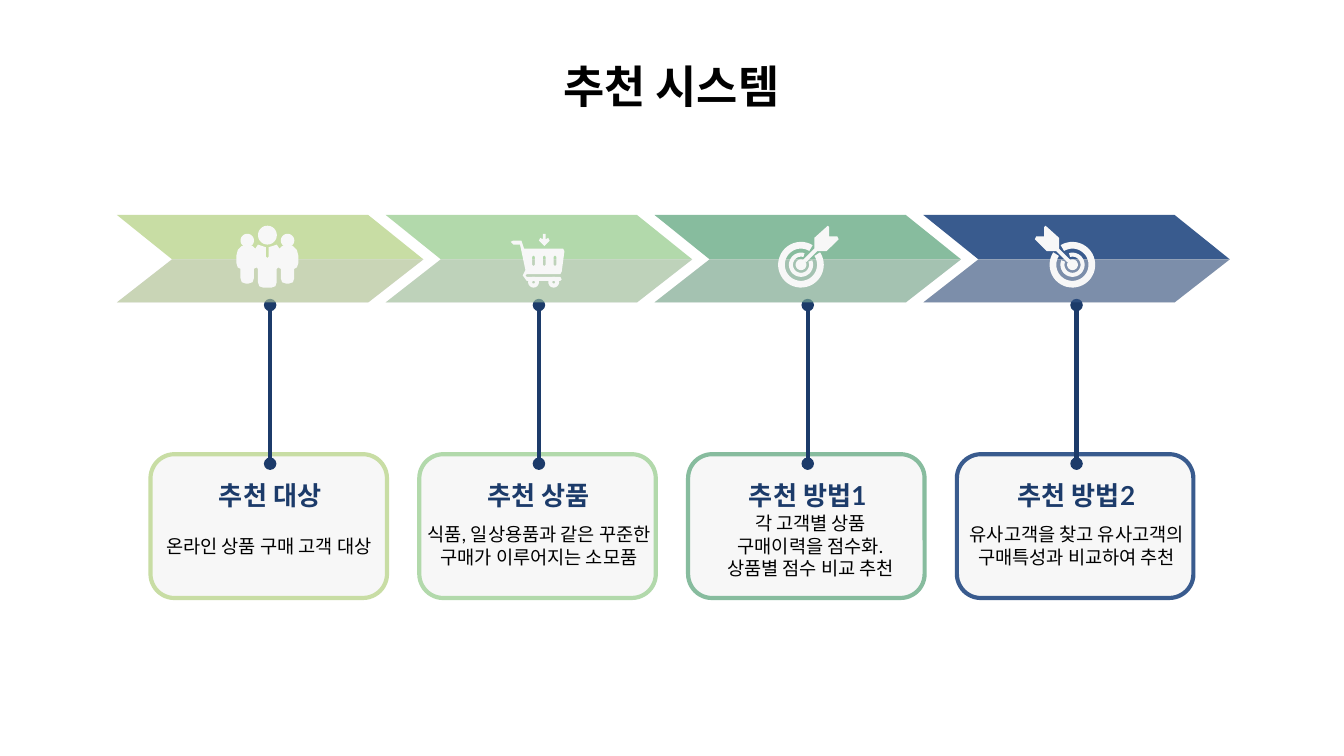
import math

import lxml.etree
import pptx
import pptx.dml.color
import pptx.enum.shapes
import pptx.enum.text
import pptx.oxml.ns
import pptx.util

Inches = pptx.util.Inches
qn = pptx.oxml.ns.qn

# Content
TITLE = "추천 시스템"
STEPS = [
    {"head": "추천 대상", "body": "온라인 상품 구매 고객 대상", "color": "C8DDA4",
     "opacity": 54, "icon": "people", "width": 1.86, "shift": -0.01},
    {"head": "추천 상품", "body": "식품, 일상용품과 같은 꾸준한 구매가 이루어지는 소모품",
     "color": "B2D9AB", "opacity": 53, "icon": "cart", "width": 1.89, "shift": 0},
    {"head": "추천 방법1", "body": "각 고객별 상품 구매이력을 점수화. 상품별 점수 비교 추천",
     "color": "87BC9E", "opacity": 57, "icon": "target", "width": 1.68, "shift": 0.02},
    {"head": "추천 방법2", "body": "유사고객을 찾고 유사고객의 구매특성과 비교하여 추천",
     "color": "395B8E", "opacity": 54, "icon": "mirrored target", "width": 1.89,
     "shift": 0},
]

THEME = {"font": "Lato", "title": 24, "head": 14, "body": 10, "line": 2.25,
         "black": "000000", "navy": "1C3B6A", "light": "F7F7F7", "gray": "CCCCCC"}

# Layout
FIRST_CENTER, PITCH = 2.01, 2.0
ARROW_TOP, ARROW_MIDDLE, ARROW_BOTTOM = 1.6, 1.93, 2.25
ARROW_HALF, NOTCH = 1.14, 0.41
CARD_TOP, CARD_WIDTH, CARD_HEIGHT = 3.38, 1.76, 1.07
LINK_TOP, LINK_BOTTOM = 2.27, 3.45

# Icon outlines: x from the icon centre, y on the page
PERSON_HALF = [
    (0, 1.92), (0.01, 1.91), (0.01, 1.84), (0.07, 1.82), (0.09, 1.85), (0.11, 1.83),
    (0.19, 1.83), (0.22, 1.86), (0.23, 1.9), (0.23, 1.96), (0.22, 1.99), (0.2, 2),
    (0.2, 2.07), (0.19, 2.1), (0.16, 2.11), (0.14, 2.11), (0.11, 2.1), (0.1, 2.07),
    (0.1, 2), (0.08, 1.99), (0.07, 2), (0.07, 2.1), (0.06, 2.13), (0.03, 2.14)]
CART = [
    (-0.19, 1.79), (-0.13, 1.79), (-0.11, 1.85), (0.18, 1.85), (0.19, 1.87),
    (0.17, 2.02), (0.16, 2.04), (-0.09, 2.04), (-0.1, 2.05), (-0.09, 2.06),
    (0.16, 2.06), (0.17, 2.08), (0.16, 2.09), (-0.09, 2.09), (-0.12, 2.05),
    (-0.1, 2.01), (-0.14, 1.82), (-0.19, 1.82), (-0.21, 1.8)]
DOWN_ARROW = [
    (0.03, 1.74), (0.05, 1.74), (0.05, 1.78), (0.07, 1.77), (0.08, 1.79),
    (0.04, 1.83), (0, 1.79), (0.01, 1.77), (0.03, 1.78)]
DART = [
    (0.2, 1.68), (0.1, 1.77), (0.1, 1.85), (0.01, 1.94), (0.04, 1.95), (0.12, 1.87),
    (0.19, 1.87), (0.28, 1.78), (0.27, 1.76), (0.21, 1.76), (0.21, 1.69)]

deck = pptx.Presentation()
deck.slide_width = Inches(10)
deck.slide_height = deck.slide_width * 9 // 16
page = deck.slides.add_slide(deck.slide_layouts[5])


def rgb(value):
    return pptx.dml.color.RGBColor.from_string(value)


def write(box, text, size, color, bold=False, anchor="MIDDLE"):
    frame = box.text_frame
    frame.word_wrap = True
    frame.auto_size = pptx.enum.text.MSO_AUTO_SIZE.NONE
    frame.vertical_anchor = pptx.enum.text.MSO_ANCHOR[anchor]
    frame.margin_left = frame.margin_right = Inches(0.1)
    frame.margin_top = frame.margin_bottom = Inches(0.1)
    para = frame.paragraphs[0]
    para.alignment = pptx.enum.text.PP_ALIGN.CENTER
    span = para.add_run()
    span.text = text
    span.font.name, span.font.size = THEME["font"], pptx.util.Pt(size)
    span.font.bold, span.font.color.rgb = bold, rgb(color)


def add_label(center, top, width, height, text, **style):
    box = page.shapes.add_textbox(
        Inches(center - width / 2), Inches(top), Inches(width), Inches(height))
    write(box, text, **style)


def add_outline(contours, color, opacity=None):
    builder = None
    for contour in contours:
        points = [(Inches(x), Inches(y)) for x, y in contour]
        if builder is None:
            builder = page.shapes.build_freeform(*points[0], scale=1.0)
        else:
            builder.move_to(*points[0])
        builder.add_line_segments(points[1:], close=True)
    shape = builder.convert_to_shape()
    shape.shadow.inherit = False
    shape.fill.solid()
    shape.fill.fore_color.rgb = rgb(color)
    shape.line.fill.background()
    if opacity is not None:
        tint = next(shape._element.spPr.iter(qn("a:srgbClr")))
        lxml.etree.SubElement(tint, qn("a:alpha"), val=str(opacity * 1000))


def arc(x, y, radius, start=0, end=360):
    angles = [math.radians(start + (end - start) * step / 40) for step in range(41)]
    return [(x + radius * math.cos(a), y + radius * math.sin(a)) for a in angles]


def open_ring(outer, inner, start, end):
    return arc(0, 1.97, outer, start, end) + arc(0, 1.97, inner, end, start)


def icon_parts(name):
    """Return the icon's shift from the step centre and its shapes as contours."""
    if name == "people":
        body = PERSON_HALF + [(-x, y) for x, y in reversed(PERSON_HALF)]
        heads = [arc(0, 1.75, 0.07), arc(-0.15, 1.79, 0.05), arc(0.15, 1.79, 0.05)]
        return -0.02, [[body]] + [[head] for head in heads]
    if name == "cart":
        slots = [[(x - 0.01, 1.91), (x, 1.9), (x + 0.01, 1.91),
                  (x + 0.01, 1.97), (x, 1.98), (x - 0.01, 1.97)]
                 for x in (-0.04, 0.04, 0.12)]
        wheels = [[arc(x, 2.1, 0.04), arc(x, 2.1, 0.01)] for x in (-0.04, 0.11)]
        return 0, [[CART] + slots, [DOWN_ARROW]] + wheels
    parts = [[open_ring(0.17, 0.12, -33, 301)], [open_ring(0.09, 0.06, -22, 287)],
             [arc(0, 1.97, 0.04)], [DART]]
    if name == "target":
        return -0.05, parts
    return -0.03, [[[(-x, y) for x, y in c] for c in part] for part in parts]


def half_arrow(center, edge):
    left, right = center - ARROW_HALF, center + ARROW_HALF
    return [(right, ARROW_MIDDLE), (right - NOTCH, edge), (left, edge),
            (left + NOTCH, ARROW_MIDDLE)]


def add_card(center, color):
    card = page.shapes.add_shape(
        pptx.enum.shapes.MSO_SHAPE.ROUNDED_RECTANGLE, Inches(center - CARD_WIDTH / 2),
        Inches(CARD_TOP), Inches(CARD_WIDTH), Inches(CARD_HEIGHT))
    card.shadow.inherit = False
    card.fill.solid()
    card.fill.fore_color.rgb = rgb(THEME["light"])
    card.line.color.rgb = rgb(color)
    card.line.width = pptx.util.Pt(THEME["line"])


def add_link(center):
    link = page.shapes.add_connector(
        pptx.enum.shapes.MSO_CONNECTOR.STRAIGHT, Inches(center), Inches(LINK_BOTTOM),
        Inches(center), Inches(LINK_TOP))
    link.line.color.rgb = rgb(THEME["navy"])
    link.line.width = pptx.util.Pt(THEME["line"])
    properties = link._element.spPr
    for end in ("a:headEnd", "a:tailEnd"):
        lxml.etree.SubElement(properties.find(qn("a:ln")), qn(end), type="oval")
    lxml.etree.SubElement(properties, qn("a:effectLst"))


# Title
title = page.shapes.title
title.left, title.top = Inches(0.19), Inches(0.34)
title.width, title.height = Inches(9.61), Inches(0.63)
write(title, TITLE, size=THEME["title"], color=THEME["black"], bold=True, anchor="TOP")

# Steps: card, arrow, link, text, tinted lower half, icon
for index, step in enumerate(STEPS):
    center = FIRST_CENTER + index * PITCH
    lower = half_arrow(center, ARROW_BOTTOM)
    add_card(center - 0.01, step["color"])
    add_outline([half_arrow(center, ARROW_TOP)], step["color"])
    add_outline([lower], THEME["gray"])
    add_link(center)
    add_label(center, 3.45, 1.89, 0.47, step["head"],
              size=THEME["head"], color=THEME["navy"], bold=True)
    add_label(center + step["shift"], 3.77, step["width"], 0.58, step["body"],
              size=THEME["body"], color=THEME["black"])
    add_outline([lower], step["color"], step["opacity"])
    shift, parts = icon_parts(step["icon"])
    for part in parts:
        add_outline([[(center + shift + x, y) for x, y in contour] for contour in part],
                    THEME["light"])

deck.save("out.pptx")
